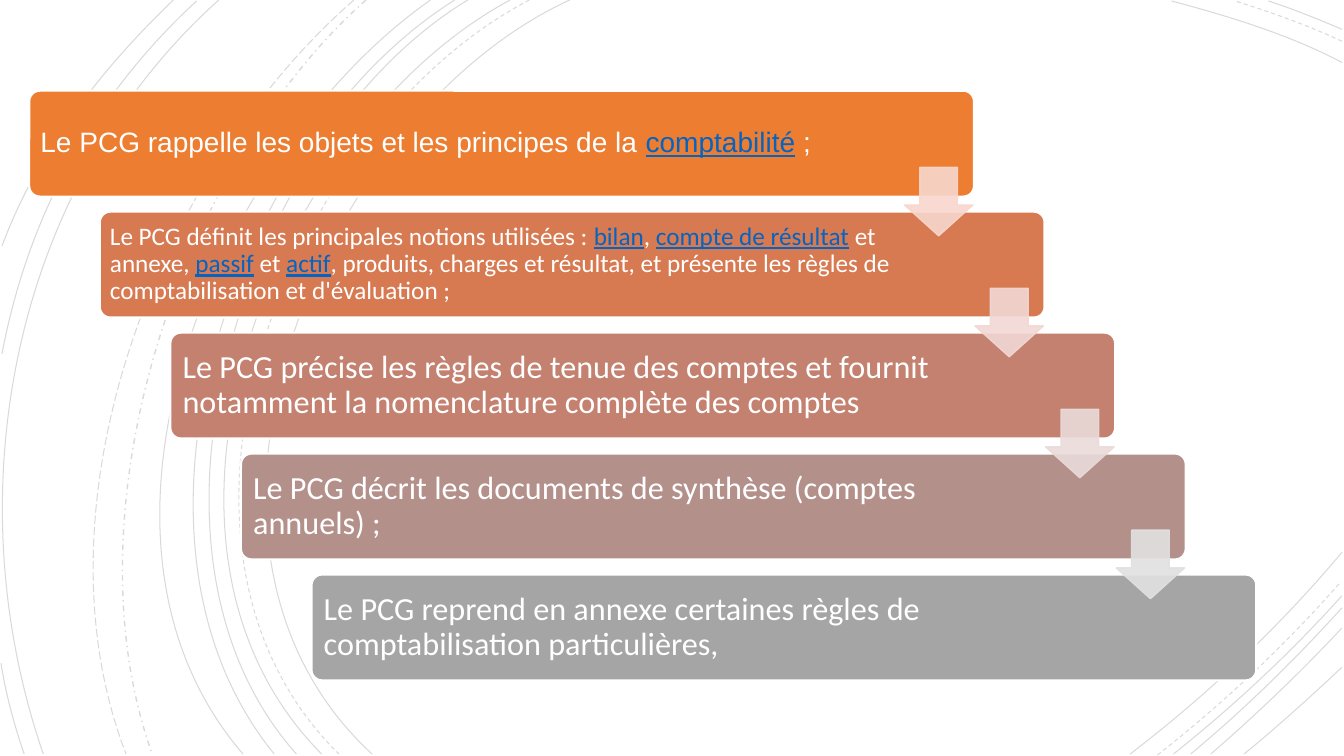
from lxml.etree import SubElement
from pptx import Presentation
from pptx.dml.color import RGBColor
from pptx.enum.dml import MSO_LINE_DASH_STYLE as Dash
from pptx.enum.shapes import MSO_SHAPE as Shape
from pptx.enum.text import MSO_ANCHOR as Anchor, PP_ALIGN as Align
from pptx.oxml.ns import qn
from pptx.util import Inches, Pt

WIDTH, HEIGHT = 13.33, 7.5
COLUMN, ROW = 0.7, 1.2
CARD = (0.29, 0.9, 9.37, 1.05)
ARROW = (8.97, 1.66, 0.68, 0.68)
CORNER = 0.03
WHITE, LINK, BLACK = "FFFFFF", "0563C1", "000000"

STEPS = [
    ("ED7D31", "F8D7CE", "Arial", 20, 0.08, 8.11,
     "Le PCG rappelle les objets et les principes de la *comptabilité* ;"),
    ("D87A51", "F1D8D4", "Calibri", 18, 0.07, 7.92,
     "Le PCG définit les principales notions utilisées : *bilan*, *compte de résultat* et annexe, "
     "*passif* et *actif*, produits, charges et résultat, et présente les règles de "
     "comptabilisation et d'évaluation ;"),
    ("C48170", "E9DBDA", "Calibri", 23, 0.09, 7.92,
     "Le PCG précise les règles de tenue des comptes et fournit notamment la nomenclature "
     "complète des comptes"),
    ("B4908B", "E1E1E1", "Calibri", 23, 0.09, 7.92,
     "Le PCG décrit les documents de synthèse (comptes annuels) ;"),
    ("A5A5A5", None, "Calibri", 23, 0.09, 7.92,
     "Le PCG reprend en annexe certaines règles de comptabilisation particulières,"),
]

ARCS = {
    Dash.SOLID: [
        ((5.65, 0), (3.15, 1.15), (1.43, 5.4), (3.69, 7.48)),
        ((13.31, 0.62), (12.78, 0.34), (12.18, 0.16), (11.62, 0.01)),
        ((11.21, 7.48), (11.97, 6.9), (12.69, 6.22), (13.31, 5.48)),
        ((5.06, 0), (2.7, 1.27), (1.1, 5.37), (3.19, 7.48)),
        ((13.31, 0.29), (13.07, 0.19), (12.83, 0.09), (12.58, 0.01)),
        ((11.64, 7.48), (12.23, 7.01), (12.8, 6.48), (13.31, 5.91)),
        ((4.64, 0), (2.44, 1.33), (1.1, 5.41), (2.94, 7.48)),
        ((11.81, 7.48), (12.34, 7.04), (12.84, 6.55), (13.31, 6.03)),
        ((4.51, 0), (2.31, 1.38), (0.97, 5.33), (2.72, 7.48)),
        ((12.01, 7.48), (12.46, 7.09), (12.9, 6.67), (13.31, 6.23)),
        ((4.27, 0), (2.17, 1.47), (0.53, 5.29), (2.41, 7.48)),
        ((12.34, 7.48), (12.67, 7.21), (12.99, 6.92), (13.31, 6.62)),
        ((2.17, 0), (0.11, 1.85), (-0.46, 4.9), (0.43, 7.48)),
        ((1.95, 0.01), (0.92, 0.96), (0.28, 2.14), (0.02, 3.51)),
        ((0.01, 6.58), (0.06, 6.89), (0.14, 7.19), (0.24, 7.48)),
        ((1.72, 0), (1, 0.69), (0.37, 1.5), (0.02, 2.44)),
    ],
    Dash.DASH: [
        ((5.25, 0), (2.85, 1.25), (1.23, 5.37), (3.36, 7.48)),
        ((13.31, 0.41), (12.97, 0.25), (12.6, 0.12), (12.25, 0.01)),
        ((11.48, 7.49), (12.13, 6.98), (12.75, 6.4), (13.3, 5.77)),
    ],
    Dash.DASH_DOT: [((3.63, 0), (1.76, 1.66), (0.65, 5.09), (1.51, 7.48))],
    Dash.LONG_DASH: [((3.51, 0), (1.57, 1.69), (0.29, 4.99), (1.25, 7.48))],
}


def set_all(target, values):
    """Set every attribute named in a dict of format values."""
    for name, value in values.items():
        setattr(target, name, value)


def colour(target, code):
    """Give a colour format its hex value."""
    target.rgb = RGBColor.from_string(code)


def paint(shape, fill, line, width, opacity=100):
    """Set the fill, outline and opacity of a shape, without shadow."""
    shape.shadow.inherit = False
    if fill:
        shape.fill.solid()
        colour(shape.fill.fore_color, fill)
    else:
        shape.fill.background()
    colour(shape.line.color, line)
    shape.line.width = Pt(width)
    if opacity < 100:
        for tint in shape.element.spPr.iter(qn("a:srgbClr")):
            SubElement(tint, qn("a:alpha"), val=str(opacity * 1000))


def bend(shape):
    """Turn the three straight segments of a freeform into one cubic curve."""
    segments = list(shape.element.iter(qn("a:lnTo")))
    outline = segments[0].getparent()
    curve = SubElement(outline, qn("a:cubicBezTo"))
    for segment in segments:
        curve.append(segment[0])
        outline.remove(segment)


def add_arc(page, arc, dash):
    """Draw one faint background curve."""
    start, *others = [tuple(map(Inches, point)) for point in arc]
    builder = page.shapes.build_freeform(*start)
    builder.add_line_segments(others, close=False)
    shape = builder.convert_to_shape()
    bend(shape)
    paint(shape, None, BLACK, 1 if dash == Dash.DASH_DOT else 0.75, 15)
    shape.line.dash_style = dash


def add_step_shape(page, kind, frame, index, adjustments):
    """Add a preset shape, moved down the staircase by its index."""
    left, top, width, height = frame
    place = (left + index * COLUMN, top + index * ROW, width, height)
    shape = page.shapes.add_shape(kind, *map(Inches, place))
    for number, value in enumerate(adjustments):
        shape.adjustments[number] = value
    return shape


def write(shape, text, font, size):
    """Write white text in which words between asterisks look like links."""
    para = shape.text_frame.paragraphs[0]
    set_all(para, {"alignment": Align.LEFT, "line_spacing": 0.9})
    for number, words in enumerate(text.split("*")):
        linked = number % 2 == 1
        span = para.add_run()
        span.text = words
        set_all(span.font, {"name": font, "size": Pt(size), "underline": linked})
        colour(span.font.color, LINK if linked else WHITE)


def add_card(page, index, fill, font, size, inset, text_width, text):
    """Add one rounded step with its text."""
    card = add_step_shape(page, Shape.ROUNDED_RECTANGLE, CARD, index, [0.1])
    paint(card, fill, WHITE, 1.5)
    set_all(card.text_frame, {
        "word_wrap": True,
        "vertical_anchor": Anchor.MIDDLE,
        "margin_left": Inches(inset),
        "margin_right": Inches(CARD[2] - 2 * CORNER - text_width + inset),
        "margin_top": Inches(inset),
        "margin_bottom": Inches(inset),
    })
    write(card, text, font, size)


def add_arrow(page, index, tint):
    """Add the arrow that leads to the next step."""
    arrow = add_step_shape(page, Shape.DOWN_ARROW, ARROW, index, [0.55, 0.45])
    paint(arrow, tint, tint, 1, 90)


def main():
    """Build the slide and save it."""
    deck = Presentation()
    set_all(deck, {"slide_width": Inches(WIDTH), "slide_height": Inches(HEIGHT)})
    page = deck.slides.add_slide(deck.slide_layouts[6])
    for dash, arcs in ARCS.items():
        for arc in arcs:
            add_arc(page, arc, dash)
    for index, (fill, _, *content) in enumerate(STEPS):
        add_card(page, index, fill, *content)
    for index, (_, tint, *_) in enumerate(STEPS[:-1]):
        add_arrow(page, index, tint)
    deck.save("out.pptx")


if __name__ == "__main__":
    main()
